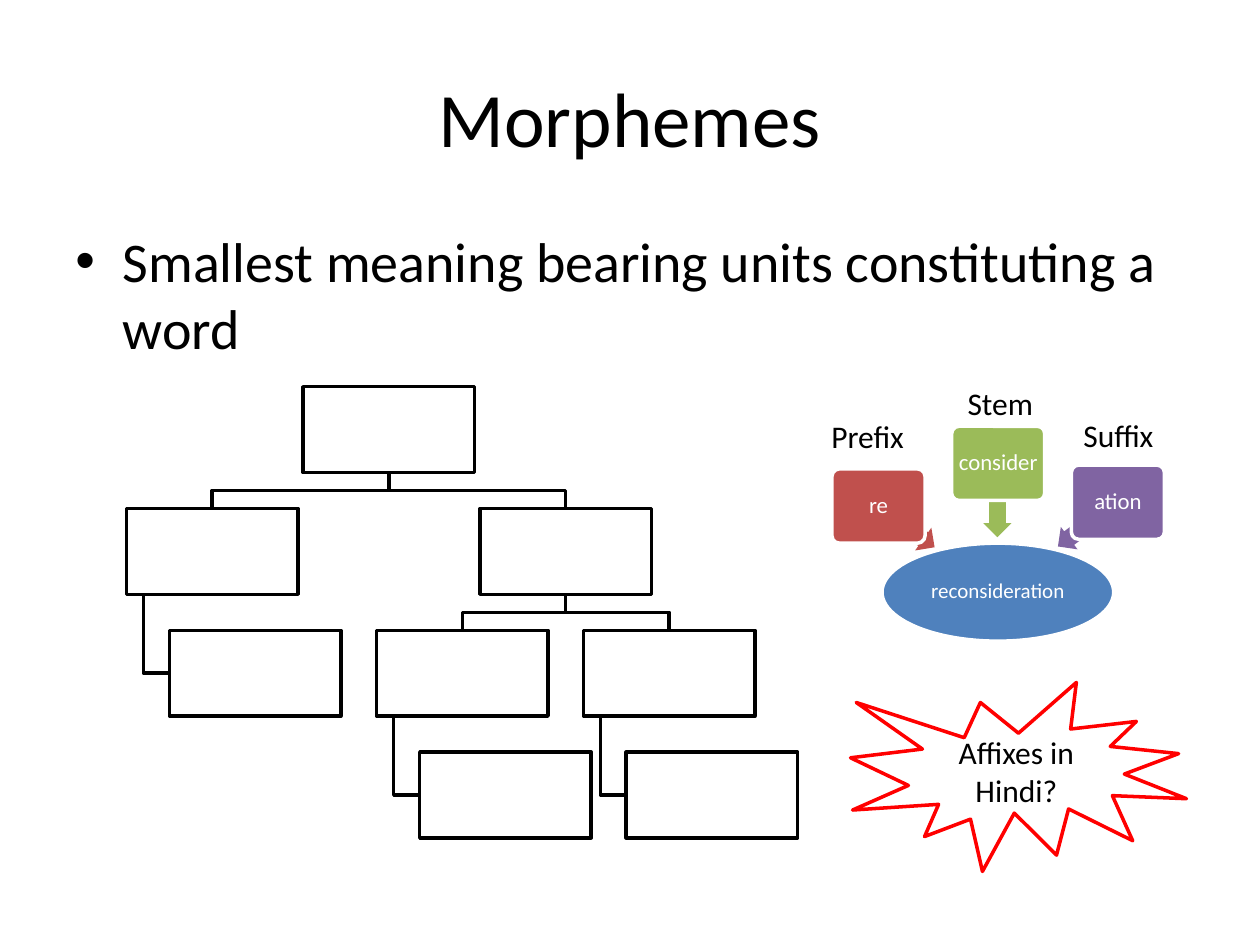
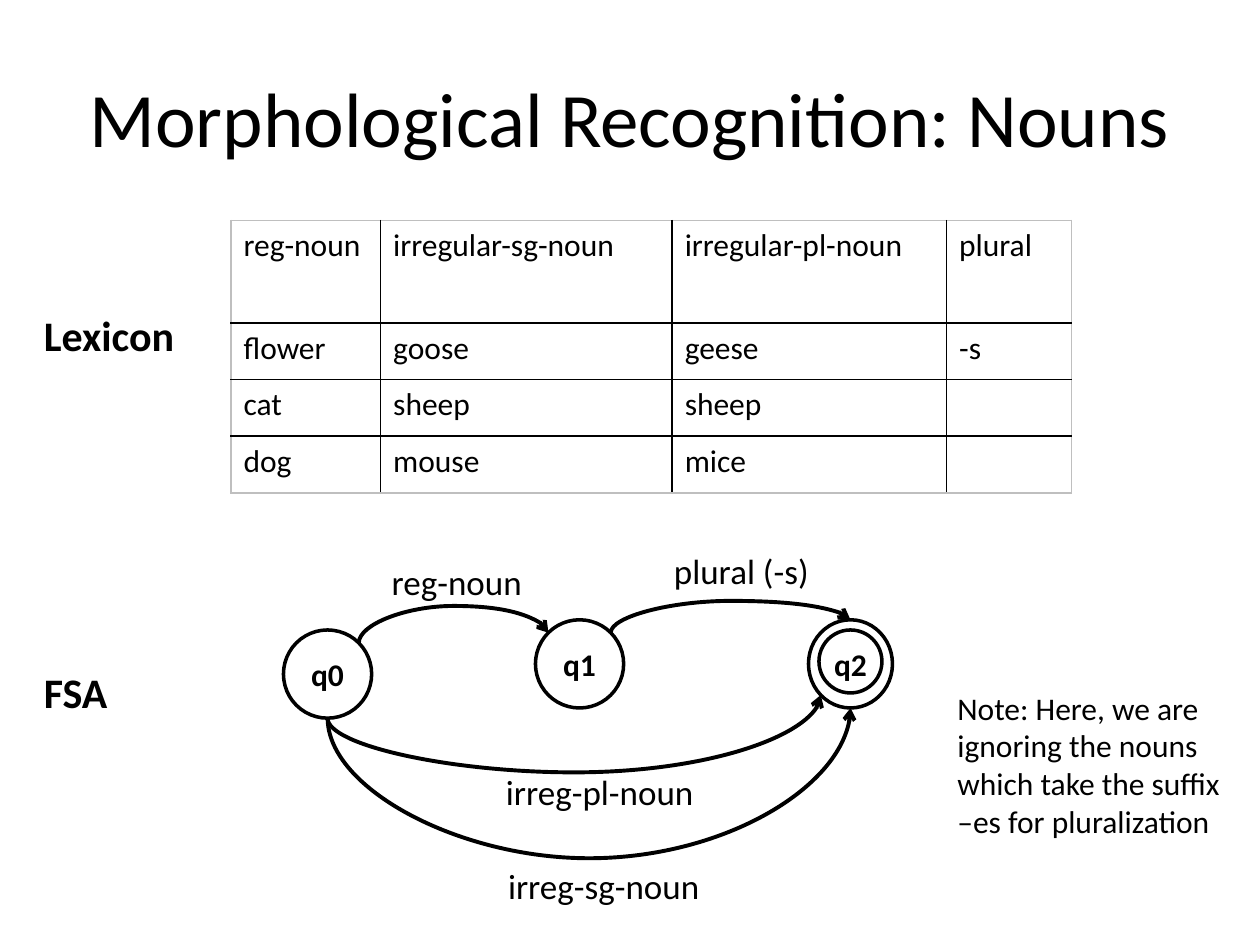
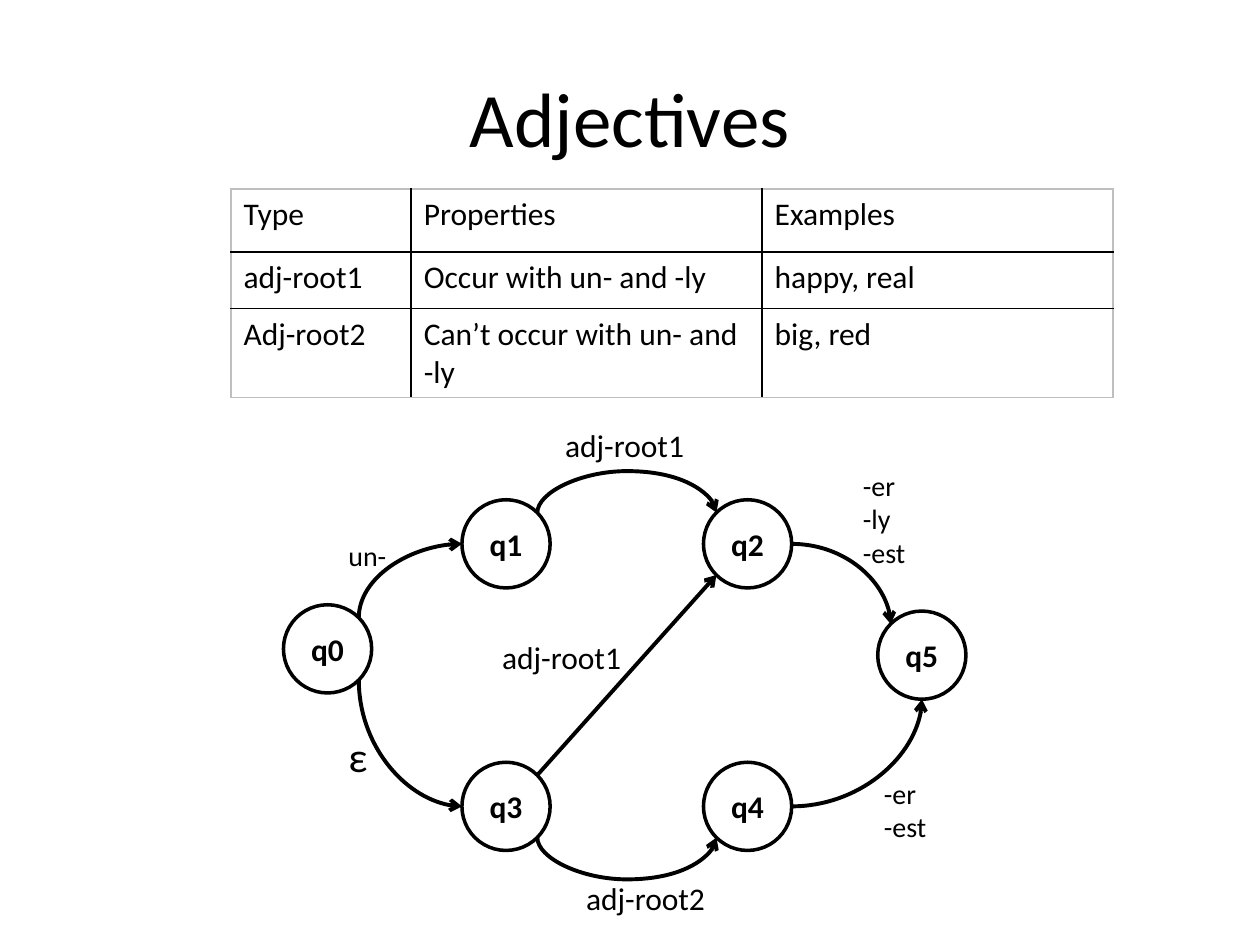
"""Build three slides on morphemes and finite-state morphology."""
import math
from dataclasses import dataclass

import lxml.etree
import pptx
import pptx.dml.color
import pptx.enum.shapes
import pptx.enum.text
import pptx.oxml.ns
import pptx.util

Pt = pptx.util.Pt
Shape = pptx.enum.shapes.MSO_SHAPE
Link = pptx.enum.shapes.MSO_CONNECTOR
Align = pptx.enum.text.PP_ALIGN
Anchor = pptx.enum.text.MSO_ANCHOR
qn = pptx.oxml.ns.qn


@dataclass(frozen=True)
class Theme:
    font: str = "Calibri"
    ink: str = "000000"
    paper: str = "FFFFFF"
    edge: str = "BFBFBF"
    alert: str = "FF0000"
    blue: str = "4F81BD"
    red: str = "C0504D"
    green: str = "9BBB59"
    purple: str = "8064A2"
    title: int = 44
    body: int = 32
    heading: int = 24
    label: int = 20
    text: int = 18
    small: int = 16
    morpheme: int = 13
    word: int = 12
    line: float = 2
    arrow: float = 2.25
    border: float = 1


THEME = Theme()

DEFINITION = "Smallest meaning bearing units constituting a word"
TREE_BOX = (98, 49)
TREE_TOP, TREE_STEP, TREE_STUB = 221, 69.6, 9.8
TREE = {
    "root": (173.2, 0), "left": (72.2, 1), "right": (274.2, 1),
    "left leaf": (96.8, 2), "middle": (215.2, 2), "far": (333.4, 2),
    "middle leaf": (239.8, 3), "far leaf": (357.8, 3),
}
TREE_FORKS = [("root", "left"), ("root", "right"), ("right", "middle"), ("right", "far")]
TREE_HANGS = [("left", "left leaf"), ("middle", "middle leaf"), ("far", "far leaf")]
WORD = ("reconsideration", (504, 310.4, 132.4, 56))
MORPHEME_SIZE = (53.2, 42.4)
MORPHEMES = [
    ("re", THEME.red, (475.4, 268), (497.6, 293, 40.2, 16), 215.6),
    ("consider", THEME.green, (543.8, 243.6), (548.8, 277.8, 42.4, 16), 270),
    ("ation", THEME.purple, (612.2, 265.8), (600.4, 291.6, 42.4, 16), 323.3),
]
MORPHEME_KINDS = [("Stem", (545.8, 216, 54, 29)), ("Prefix", (468, 234.6, 60, 29)),
                  ("Suffix", (612, 234, 66, 29))]
QUESTION = ("Affixes in Hindi?", (486, 390, 192, 108))

LEXICON = [
    ["reg-noun", "irregular-sg-noun", "irregular-pl-noun", "plural"],
    ["flower", "goose", "geese", "-s"],
    ["cat", "sheep", "sheep", ""],
    ["dog", "mouse", "mice", ""],
]
FINAL_RING = (468, 360, 36, 36)
NOUN_STATES = {"q0": (187.2, 385.2, 50.4), "q1": (331.2, 379.4, 50.4), "q2": (486, 379.4, 48)}
NOUN_ARCS = [("q0", "ne", "q1", "nw", 346.3), ("q1", "ne", "q2", "n", 343.4),
             ("q0", "s", "q2", "sw", 441.4), ("q0", "s", "q2", "s", 490.3)]
NOUN_LABELS = [
    ("reg-noun", (216.7, 316.8, 100, 31.5), THEME.label),
    ("plural (-s)", (378, 310.5, 104, 31.5), THEME.label),
    ("irreg-pl-noun", (282, 436.5, 134, 31.5), THEME.label),
    ("irreg-sg-noun", (283.2, 490.5, 134, 31.5), THEME.label),
]
NOTE = "Note: Here, we are ignoring the nouns which take the suffix –es for pluralization"
SIDE_HEADS = [("Lexicon", 173.6), ("FSA", 377.5)]

ADJECTIVES = [
    ["Type", "Properties", "Examples"],
    ["adj-root1", "Occur with un- and -ly", "happy, real"],
    ["Adj-root2", "Can’t occur with un- and -ly", "big, red"],
]
ADJECTIVE_STATES = {
    "q0": (187.2, 370.8, 50.4), "q3": (289.2, 460.8, 50.4), "q4": (427.2, 460.8, 50.4),
    "q5": (526.8, 374.4, 50.4), "q2": (427.2, 310.8, 50.4), "q1": (289.2, 310.8, 50.4),
}
ADJECTIVE_ARCS = [
    ("q0", "ne", "q1", "w", None), ("q1", "ne", "q2", "nw", 267.8),
    ("q2", "e", "q5", "nw", None), ("q0", "se", "q3", "w", None),
    ("q3", "se", "q4", "sw", 504), ("q4", "e", "q5", "s", None),
]
ADJECTIVE_LABELS = [
    ("un-", (192, 304, 48, 26.6), THEME.small),
    ("ε", (192, 414, 48, 36.4), THEME.heading),
    ("adj-root1", (315.8, 240, 96, 29), THEME.text),
    ("adj-root2", (327.8, 499, 96, 29), THEME.text),
    ("adj-root1", (279.8, 361, 96, 29), THEME.text),
    ("-er\n-ly\n-est", (486, 264, 54, 65.4), THEME.small),
    ("-er\n-est", (498, 440, 54, 46), THEME.small),
]

COMPASS = {"e": 0, "se": 45, "s": 90, "sw": 135, "w": 180, "nw": 225, "n": 270, "ne": 315}
STATE_HEIGHT = 50.4


def colour(value):
    return pptx.dml.color.RGBColor.from_string(value)


def points(values):
    return [Pt(value) for value in values]


def write(frame, text, size=THEME.text, ink=THEME.ink, bold=False, align=Align.LEFT,
          anchor=Anchor.TOP, wrap=True, inset=None, spacing=None, bullet=False):
    frame.word_wrap = wrap
    frame.vertical_anchor = anchor
    if inset is not None:
        frame.margin_left = frame.margin_right = Pt(inset)
        frame.margin_top = frame.margin_bottom = Pt(inset)
    for index, line in enumerate(text.split("\n")):
        para = frame.add_paragraph() if index else frame.paragraphs[0]
        para.alignment = align
        para.line_spacing = spacing
        span = para.add_run()
        span.text = line
        span.font.name, span.font.size, span.font.bold = THEME.font, Pt(size), bold
        span.font.color.rgb = colour(ink)
        if bullet:
            para.space_before = Pt(size * 0.2)
            properties = para._p.get_or_add_pPr()
            properties.set("marL", str(Pt(27)))
            properties.set("indent", str(Pt(-27)))
            font = lxml.etree.SubElement(properties, qn("a:buFont"))
            font.set("typeface", "Arial")
            lxml.etree.SubElement(properties, qn("a:buChar")).set("char", "•")


def add_text(page, text, place, **style):
    write(page.shapes.add_textbox(*points(place)).text_frame, text, **style)


def finish(shape, fill=None, line=None):
    shape.shadow.inherit = False
    if fill:
        shape.fill.solid()
        shape.fill.fore_color.rgb = colour(fill)
    else:
        shape.fill.background()
    if line:
        shape.line.color.rgb = colour(line)
        shape.line.width = Pt(THEME.line)
    else:
        shape.line.fill.background()


def add_figure(page, kind, place, fill=None, line=None, adjust=(), turn=0, text="", **style):
    figure = page.shapes.add_shape(kind, *points(place))
    finish(figure, fill, line)
    figure.rotation = turn
    for index, value in enumerate(adjust):
        figure.adjustments[index] = value
    if text:
        write(figure.text_frame, text, align=Align.CENTER, anchor=Anchor.MIDDLE, **style)


def add_polyline(page, corners):
    builder = page.shapes.build_freeform(*points(corners[0]))
    builder.add_line_segments([points(corner) for corner in corners[1:]], close=False)
    finish(builder.convert_to_shape(), line=THEME.ink)


def add_arrow(page, kind, start, end):
    arrow = page.shapes.add_connector(kind, *points(start + end))
    arrow.line.color.rgb = colour(THEME.ink)
    arrow.line.width = Pt(THEME.arrow)
    line = arrow._element.spPr.find(qn("a:ln"))
    lxml.etree.SubElement(line, qn("a:tailEnd")).set("type", "arrow")
    lxml.etree.SubElement(arrow._element.spPr, qn("a:effectLst"))
    return arrow


def anchor_point(state, side):
    x, y, width = state
    angle = math.radians(COMPASS[side])
    return (x + width / 2 * math.cos(angle), y + STATE_HEIGHT / 2 * math.sin(angle))


def add_arc(page, start, end, across, bend):
    """Draw a curve that leaves across or upright, with bend as its far level."""
    (x1, y1), (x2, y2) = start, end
    if across:
        arrow = add_arrow(page, Link.CURVE, start, end)
    else:
        level = abs(y2 - y1) < 0.01
        rising = bend < y1 if level else y2 < y1
        width, height = (0.12 if level else abs(y2 - y1)), x2 - x1
        left, top = (x1 + x2 - width) / 2, (y1 + y2 - height) / 2
        arrow = add_arrow(page, Link.CURVE, (left, top), (left + width, top + height))
        frame = arrow._element.spPr.find(qn("a:xfrm"))
        frame.set("rot", str((90 if rising else 270) * 60000))
        frame.set("flipH", "1")
        if rising:
            frame.set("flipV", "1")
    outline = arrow._element.spPr.find(qn("a:prstGeom"))
    if bend is None:
        outline.set("prst", "curvedConnector2")
    else:
        reach = (y1 - bend if rising else bend - y1) / width
        guides = outline.find(qn("a:avLst"))
        guide = lxml.etree.SubElement(guides, qn("a:gd"))
        guide.set("name", "adj1")
        guide.set("fmla", f"val {round(reach * 100000)}")


def add_automaton(page, states, arcs, labels):
    for name, (x, y, width) in states.items():
        place = (x - width / 2, y - STATE_HEIGHT / 2, width, STATE_HEIGHT)
        add_figure(page, Shape.OVAL, place, line=THEME.ink, text=name, bold=True, wrap=False)
    for source, leave, target, arrive, bend in arcs:
        add_arc(page, anchor_point(states[source], leave),
                anchor_point(states[target], arrive), leave == "e", bend)
    for text, place, size in labels:
        add_text(page, text, place, size=size)


def set_border(cell, side, ink):
    line = lxml.etree.SubElement(cell._tc.get_or_add_tcPr(), qn(f"a:{side}"))
    line.set("w", str(Pt(THEME.border)))
    fill = lxml.etree.SubElement(line, qn("a:solidFill"))
    lxml.etree.SubElement(fill, qn("a:srgbClr")).set("val", ink)


def add_grid(page, content, origin, widths, heights):
    place = points((*origin, sum(widths), sum(heights)))
    table = page.shapes.add_table(len(heights), len(widths), *place).table
    table.first_row = table.horz_banding = False
    for column, width in zip(table.columns, widths):
        column.width = Pt(width)
    for row, height in zip(table.rows, heights):
        row.height = Pt(height)
    for i, texts in enumerate(content):
        for j, text in enumerate(texts):
            cell = table.cell(i, j)
            write(cell.text_frame, text)
            outer = {"lnL": j == 0, "lnR": j == len(widths) - 1,
                     "lnT": i == 0, "lnB": i == len(heights) - 1}
            for side, is_outer in outer.items():
                set_border(cell, side, THEME.edge if is_outer else THEME.ink)
            cell.fill.background()


def add_page(deck, title):
    page = deck.slides.add_slide(deck.slide_layouts[6])
    add_text(page, title, (36, 21.6, 648, 90), size=THEME.title,
             align=Align.CENTER, anchor=Anchor.MIDDLE)
    return page


def add_tree(page):
    width, height = TREE_BOX
    corners = {name: (left, TREE_TOP + TREE_STEP * level)
               for name, (left, level) in TREE.items()}
    for parent, child in TREE_FORKS:
        (x1, y1), (x2, y2) = corners[parent], corners[child]
        x1, x2, y1 = x1 + width / 2, x2 + width / 2, y1 + height
        middle = (y1 + y2) / 2
        add_polyline(page, [(x1, y1), (x1, middle), (x2, middle), (x2, y2)])
    for parent, child in TREE_HANGS:
        (x1, y1), (x2, y2) = corners[parent], corners[child]
        x1, y2 = x1 + TREE_STUB, y2 + height / 2
        add_polyline(page, [(x1, y1 + height), (x1, y2), (x2, y2)])
    for corner in corners.values():
        add_figure(page, Shape.RECTANGLE, corner + TREE_BOX, THEME.paper, THEME.ink)


def build_morphemes(deck):
    page = add_page(deck, "Morphemes")
    add_text(page, DEFINITION, (36, 126, 648, 356.4), size=THEME.body, bullet=True)
    style = {"ink": THEME.paper, "spacing": 0.9, "wrap": False}
    word, place = WORD
    add_figure(page, Shape.OVAL, place, THEME.blue, THEME.paper, text=word,
               size=THEME.word, inset=1, **style)
    for text, fill, corner, arrow, turn in MORPHEMES:
        add_figure(page, Shape.LEFT_ARROW, arrow, fill, adjust=(0.6, 0.5), turn=turn)
        add_figure(page, Shape.ROUNDED_RECTANGLE, corner + MORPHEME_SIZE, fill, THEME.paper,
                   adjust=(0.1,), text=text, size=THEME.morpheme, inset=2, **style)
    for text, place in MORPHEME_KINDS:
        add_text(page, text, place)
    add_tree(page)
    question, place = QUESTION
    add_figure(page, Shape.EXPLOSION1, place, line=THEME.alert, text=question)


def build_nouns(deck):
    page = add_page(deck, "Morphological Recognition: Nouns")
    add_grid(page, LEXICON, (132, 126), (85.5, 166.6, 156.8, 71.3), (58.5, 32.4, 32.4, 32.4))
    add_figure(page, Shape.OVAL, FINAL_RING, line=THEME.ink)
    add_automaton(page, NOUN_STATES, NOUN_ARCS, NOUN_LABELS)
    add_text(page, NOTE, (540, 390, 168, 94.5))
    for text, top in SIDE_HEADS:
        add_text(page, text, (18, top, 102, 36.4), size=THEME.heading, bold=True)


def build_adjectives(deck):
    page = add_page(deck, "Adjectives")
    add_grid(page, ADJECTIVES, (132, 108), (103, 200.5, 200.5), (36, 32.4, 50.9))
    add_automaton(page, ADJECTIVE_STATES, ADJECTIVE_ARCS, ADJECTIVE_LABELS)
    add_arrow(page, Link.STRAIGHT, anchor_point(ADJECTIVE_STATES["q3"], "ne"),
              anchor_point(ADJECTIVE_STATES["q2"], "sw"))


def main():
    deck = pptx.Presentation()
    deck.slide_width, deck.slide_height = Pt(720), Pt(540)
    build_morphemes(deck)
    build_nouns(deck)
    build_adjectives(deck)
    deck.save("out.pptx")


if __name__ == "__main__":
    main()
